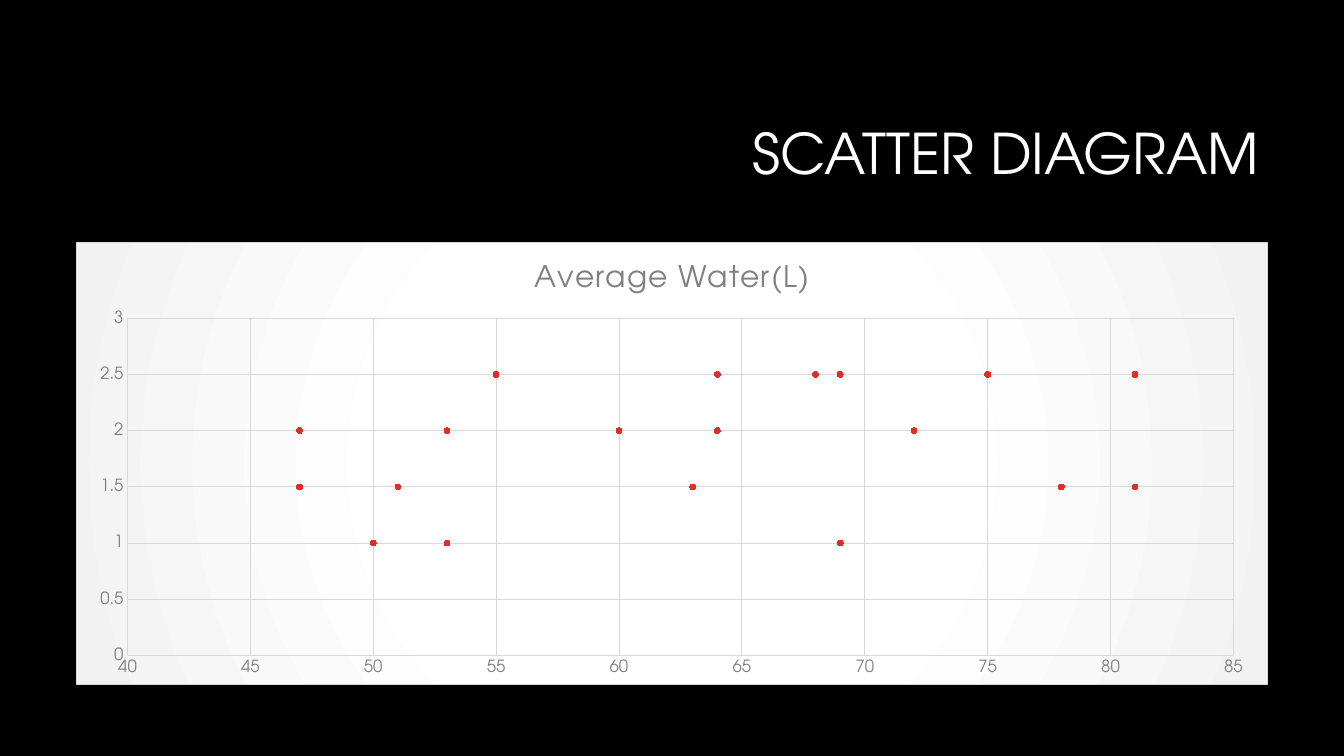
from lxml import etree
from pptx import Presentation
from pptx.chart.data import XyChartData
from pptx.dml.color import RGBColor
from pptx.enum.chart import XL_CHART_TYPE as ChartType, XL_MARKER_STYLE as Marker
from pptx.enum.chart import XL_TICK_MARK as TickMark
from pptx.enum.text import MSO_ANCHOR as Anchor, PP_ALIGN as Align
from pptx.oxml import parse_xml
from pptx.oxml.ns import nsdecls, qn
from pptx.util import Pt

HEADING = "SCATTER DIAGRAM"
SERIES_NAME = "Average Water(L)"
POINTS = [
    (53, 1), (50, 1), (72, 2), (69, 1), (81, 1.5), (64, 2.5), (78, 1.5),
    (55, 2.5), (68, 2.5), (47, 2), (64, 2), (63, 1.5), (53, 2), (81, 2.5),
    (75, 2.5), (51, 1.5), (60, 2), (47, 1.5), (69, 2.5),
]
FONT = "TeX Gyre Adventor"
BLACK = RGBColor(0x00, 0x00, 0x00)
WHITE = RGBColor(0xFF, 0xFF, 0xFF)
GRAY = RGBColor(0x80, 0x80, 0x80)
GRID = RGBColor(0xD9, 0xD9, 0xD9)
EDGE = RGBColor(0xF2, 0xF2, 0xF2)
RED = RGBColor(0xDF, 0x2E, 0x28)

EMU_PER_PIXEL = 914400 / 100.8
HEADING_AREA = (320, 85, 949, 142)
CHART_AREA = (76, 242, 1192, 443)
PLOT_AREA = (127, 318, 1107, 338)


def emu(pixels):
    return round(pixels * EMU_PER_PIXEL)


def write(frame, text, size, color, align=None, line_spacing=None):
    para = frame.paragraphs[0]
    para.alignment = align
    para.line_spacing = line_spacing
    span = para.add_run()
    span.text = text
    set_font(span.font, size, color)
    return span


def set_font(font, size, color):
    font.name = FONT
    font.size = Pt(size)
    font.bold = False
    font.color.rgb = color


def style_line(line):
    line.color.rgb = GRID
    line.width = Pt(0.75)


def style_axis(axis, low, high, step):
    axis.minimum_scale, axis.maximum_scale, axis.major_unit = low, high, step
    axis.major_tick_mark = axis.minor_tick_mark = TickMark.NONE
    axis.has_major_gridlines = True
    style_line(axis.major_gridlines.format.line)
    set_font(axis.tick_labels.font, 12, GRAY)
    axis.tick_labels.number_format = "General"
    axis.tick_labels.number_format_is_linked = False


def place_plot(chart):
    plot_area = chart.element.find(".//" + qn("c:plotArea"))
    for layout in plot_area.findall(qn("c:layout")):
        plot_area.remove(layout)
    left, top, width, height = CHART_AREA
    x, y, w, h = PLOT_AREA
    shares = {"x": (x - left) / width, "y": (y - top) / height,
              "w": w / width, "h": h / height}
    layout = parse_xml(f"<c:layout {nsdecls('c')}><c:manualLayout/></c:layout>")
    settings = [("layoutTarget", "inner"), ("xMode", "edge"), ("yMode", "edge")]
    settings += [(name, f"{share:.4f}") for name, share in shares.items()]
    for name, value in settings:
        etree.SubElement(layout[0], qn("c:" + name)).set("val", value)
    plot_area.insert(0, layout)


def fill_chart(chart):
    stops = "".join(
        f'<a:gs pos="{percent * 1000}"><a:srgbClr val="{color}"/></a:gs>'
        for percent, color in [(43, WHITE), (100, EDGE)])
    chart.element.find(qn("c:chart")).addnext(parse_xml(
        f"<c:spPr {nsdecls('c', 'a')}><a:gradFill><a:gsLst>{stops}</a:gsLst>"
        '<a:path path="circle"><a:fillToRect l="50000" t="50000" r="50000" b="50000"/>'
        f'</a:path></a:gradFill><a:ln w="{Pt(0.75)}"><a:solidFill>'
        f'<a:srgbClr val="{GRID}"/></a:solidFill></a:ln></c:spPr>'))


deck = Presentation()
deck.slide_width, deck.slide_height = emu(1344), emu(756)
page = deck.slides.add_slide(deck.slide_layouts[6])
page.background.fill.solid()
page.background.fill.fore_color.rgb = BLACK

heading = page.shapes.add_textbox(*map(emu, HEADING_AREA)).text_frame
heading.word_wrap = True
heading.vertical_anchor = Anchor.MIDDLE
write(heading, HEADING, 40, WHITE, align=Align.RIGHT, line_spacing=0.9)

data = XyChartData()
water = data.add_series(SERIES_NAME)
for x_value, y_value in POINTS:
    water.add_data_point(x_value, y_value)
chart = page.shapes.add_chart(
    ChartType.XY_SCATTER, *map(emu, CHART_AREA), data).chart
set_font(chart.font, 10, WHITE)
chart.has_legend = False
chart.has_title = True
title = write(chart.chart_title.text_frame, SERIES_NAME, 21.3, GRAY)
title.font._element.set("spc", "100")
chart.chart_title.include_in_layout = False

style_axis(chart.category_axis, 40, 85, 5)
style_axis(chart.value_axis, 0, 3, 0.5)
style_line(chart.category_axis.format.line)
chart.value_axis.format.line.fill.background()

chart.plots[0].vary_by_categories = False
series = chart.plots[0].series[0]
series.smooth = False
series.format.line.fill.background()
series.marker.style = Marker.CIRCLE
series.marker.size = 4
series.marker.format.fill.solid()
series.marker.format.fill.fore_color.rgb = RED
series.marker.format.line.color.rgb = RED

place_plot(chart)
fill_chart(chart)
deck.save("out.pptx")
